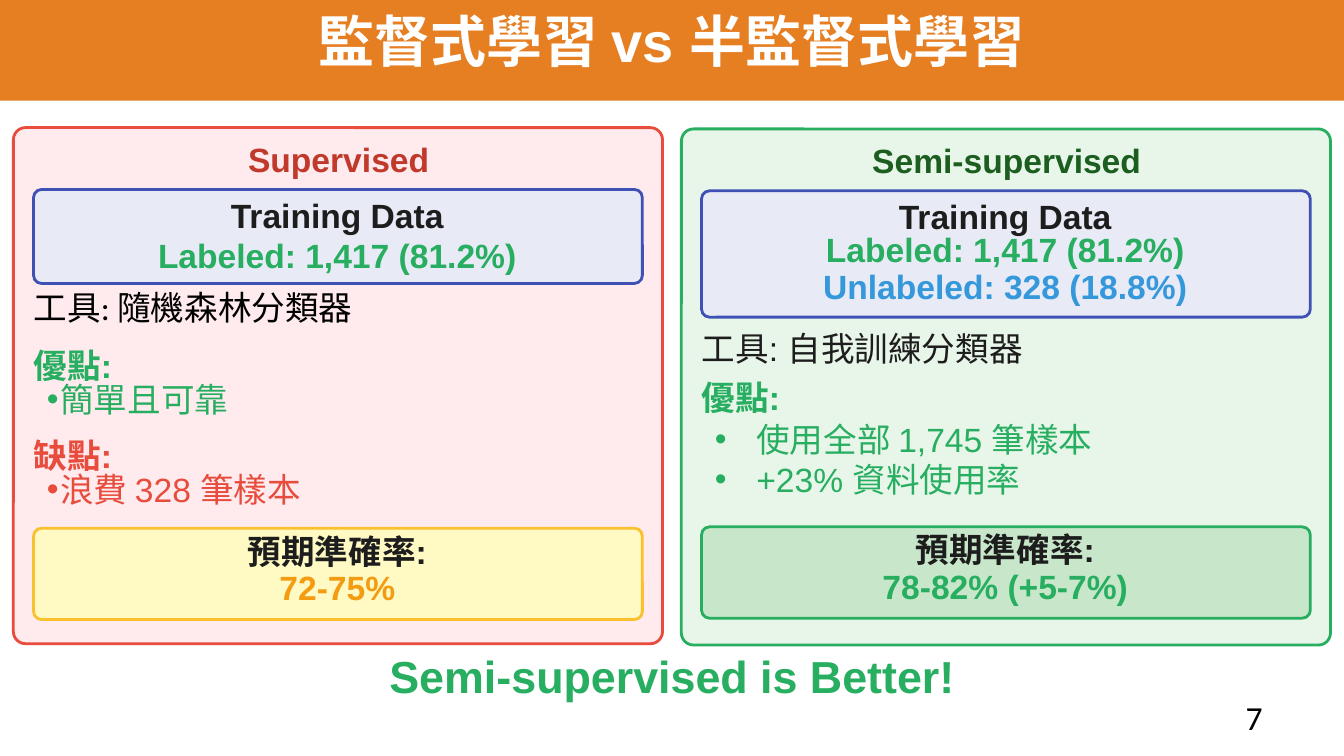
from lxml import etree
from pptx import Presentation
from pptx.dml.color import RGBColor
from pptx.enum.shapes import MSO_SHAPE
from pptx.enum.text import PP_ALIGN
from pptx.oxml.ns import qn
from pptx.util import Inches, Pt

RECT, ROUNDED = MSO_SHAPE.RECTANGLE, MSO_SHAPE.ROUNDED_RECTANGLE
LEFT, CENTER = PP_ALIGN.LEFT, PP_ALIGN.CENTER

WHITE = RGBColor(0xFF, 0xFF, 0xFF)
BLACK = RGBColor(0x00, 0x00, 0x00)
INK = RGBColor(0x1D, 0x1D, 0x1D)
ORANGE = RGBColor(0xE6, 0x7E, 0x22)
AMBER = RGBColor(0xF3, 0x9C, 0x12)
RED = RGBColor(0xE7, 0x4C, 0x3C)
DARK_RED = RGBColor(0xC0, 0x39, 0x2B)
PALE_RED = RGBColor(0xFF, 0xEB, 0xEE)
GREEN = RGBColor(0x27, 0xAE, 0x60)
DARK_GREEN = RGBColor(0x1B, 0x5E, 0x20)
PALE_GREEN = RGBColor(0xE8, 0xF5, 0xE9)
MINT = RGBColor(0xC8, 0xE6, 0xC9)
BLUE = RGBColor(0x34, 0x98, 0xDB)
INDIGO = RGBColor(0x3F, 0x51, 0xB5)
PALE_INDIGO = RGBColor(0xE8, 0xEA, 0xF6)
YELLOW = RGBColor(0xFB, 0xC0, 0x2D)
PALE_YELLOW = RGBColor(0xFF, 0xF9, 0xC4)

CARD_W, CARD_H = 4.83, 3.84
PAD = 0.15
BOX_W = CARD_W - 2 * PAD
CARD_RADIUS, BOX_RADIUS = 0.09, 0.06


def add_panel(s, x, y, w, h, fill, line=None, radius=0):
    sp = s.shapes.add_shape(ROUNDED if radius else RECT,
                            Inches(x), Inches(y), Inches(w), Inches(h))
    sp.shadow.inherit = False
    sp.fill.solid()
    sp.fill.fore_color.rgb = fill
    if radius:
        sp.adjustments[0] = radius / h
    if line is None:
        sp.line.fill.background()
    else:
        sp.line.color.rgb = line
        sp.line.width = Pt(1.5)


def add_text(s, x, y, w, h, text, color, size=18, bold=True, font="Arial",
             align=CENTER, spacing=14.3, before=2.4, after=2.4):
    sp = s.shapes.add_textbox(Inches(x), Inches(y), Inches(w), Inches(h))
    tf = sp.text_frame
    tf.word_wrap = True
    tf.margin_left = tf.margin_right = tf.margin_top = tf.margin_bottom = 0
    tf.text = text
    for p in tf.paragraphs:
        p.alignment = align
        p.line_spacing = Pt(spacing)
        p.space_before, p.space_after = Pt(before), Pt(after)
        for r in p.runs:
            r.font.name = font
            r.font.size = Pt(size)
            r.font.bold = bold
            r.font.color.rgb = color
    return tf


def add_bullets(s, x, y, h, items, color, indent, spacing):
    tf = add_text(s, x, y, BOX_W, h, "\n".join(items), color, bold=False,
                  align=LEFT, spacing=spacing, before=0, after=1.2)
    tf.margin_left = Inches(0.1)
    for p in tf.paragraphs:
        pPr = p._p.get_or_add_pPr()
        pPr.set("marL", str(Inches(indent)))
        pPr.set("indent", str(-Inches(indent)))
        etree.SubElement(pPr, qn("a:buFont")).set("typeface", "Arial")
        etree.SubElement(pPr, qn("a:buChar")).set("char", "•")


def add_card(s, x, y, name, name_color, fill, line):
    add_panel(s, x, y, CARD_W, CARD_H, fill, line, CARD_RADIUS)
    add_text(s, x + 1.26, y + 0.16, 2.32, 0.22, name, name_color,
             spacing=16, before=0, after=6)


def add_data_box(s, x, y, h, rows):
    add_panel(s, x, y, BOX_W, h, PALE_INDIGO, INDIGO, BOX_RADIUS)
    add_text(s, x + 0.06, y + 0.14, 4.4, 0.2, "Training Data", INK)
    for row_y, text, color, spacing in rows:
        add_text(s, x + 0.06, y + row_y, 4.4, 0.2, text, color, spacing=spacing)


def add_result_box(s, x, y, text, color, fill, line):
    add_panel(s, x, y, BOX_W, 0.68, fill, line, BOX_RADIUS)
    add_text(s, x + 0.04, y + 0.12, 4.44, 0.21, "預期準確率:", INK)
    add_text(s, x + 0.04, y + 0.38, 4.44, 0.21, text, color, spacing=15.1)


def add_tool(s, x, y, text, color, font):
    add_text(s, x, y, 4.62, 0.2, text, color, bold=False, font=font, align=LEFT)


def add_points(s, x, y, h, heading, items, color, indent, spacing):
    add_text(s, x, y, 4.62, 0.2, heading, color, align=LEFT, before=4.8)
    add_bullets(s, x, y + 0.23, h, items, color, indent, spacing)


def add_supervised(s, x, y):
    add_card(s, x, y, "Supervised", DARK_RED, PALE_RED, RED)
    x += PAD
    add_data_box(s, x, y + 0.46, 0.7,
                 [(0.44, "Labeled: 1,417 (81.2%)", GREEN, 14.3)])
    add_tool(s, x, 2.24, "工具: 隨機森林分類器", BLACK, "Calibri")
    add_points(s, x, 2.67, 0.25, "優點:", ["簡單且可靠"], GREEN, 0.1, 15.9)
    add_points(s, x, 3.34, 0.25, "缺點:", ["浪費 328 筆樣本"], RED, 0.1, 15.9)
    add_result_box(s, x, 3.93, "72-75%", AMBER, PALE_YELLOW, YELLOW)


def add_semi_supervised(s, x, y):
    add_card(s, x, y, "Semi-supervised", DARK_GREEN, PALE_GREEN, GREEN)
    x += PAD
    add_data_box(s, x, y + 0.46, 0.94,
                 [(0.4, "Labeled: 1,417 (81.2%)", GREEN, 13.4),
                  (0.67, "Unlabeled: 328 (18.8%)", BLUE, 13.4)])
    add_tool(s, x, 2.54, "工具: 自我訓練分類器", INK, "Arial")
    add_points(s, x, 2.91, 0.55, "優點:",
               ["使用全部 1,745 筆樣本", "+23% 資料使用率"], GREEN, 0.31, 20)
    add_result_box(s, x, 3.92, "78-82% (+5-7%)", GREEN, MINT, GREEN)


def add_page_number(s, text):
    sp = s.shapes.add_textbox(Inches(9.17), Inches(5.14), Inches(0.59), Inches(0.4))
    tf = sp.text_frame
    tf.word_wrap = True
    tf.text = text
    r = tf.paragraphs[0].runs[0]
    r.font.name = "Calibri"
    r.font.size = Pt(18)
    r.font.color.rgb = BLACK


def main():
    prs = Presentation()
    prs.slide_width = Inches(10)
    prs.slide_height = prs.slide_width * 9 // 16
    s = prs.slides.add_slide(prs.slide_layouts[6])
    add_panel(s, 0, 0, 10, 0.75, ORANGE)
    add_text(s, 1.51, 0.2, 6.98, 0.35, "監督式學習 vs 半監督式學習", WHITE,
             size=30, spacing=25.2, before=0, after=0)
    add_supervised(s, 0.1, 0.95)
    add_semi_supervised(s, 5.07, 0.96)
    add_text(s, 0, 4.99, 10, 0.23, "Semi-supervised is Better!", GREEN,
             size=24, spacing=16.8, before=6)
    add_page_number(s, "7")
    prs.save("out.pptx")


if __name__ == "__main__":
    main()
